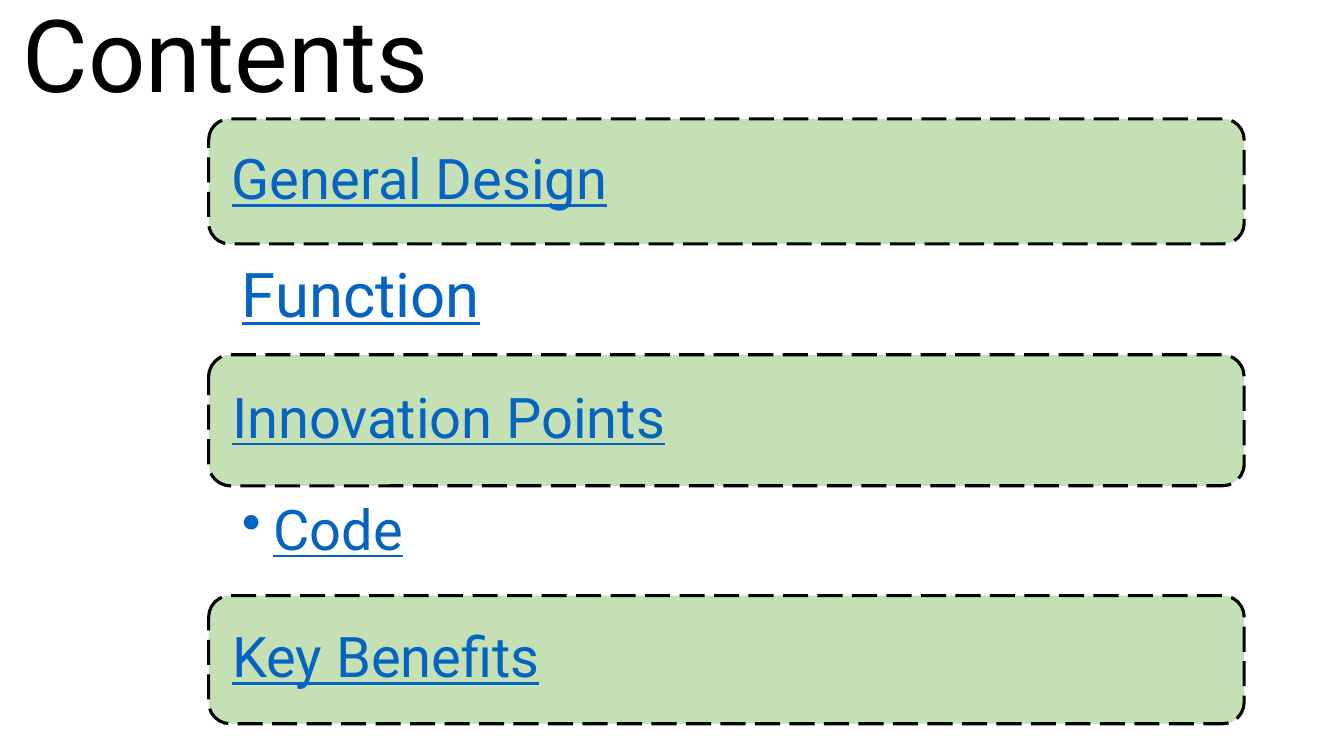
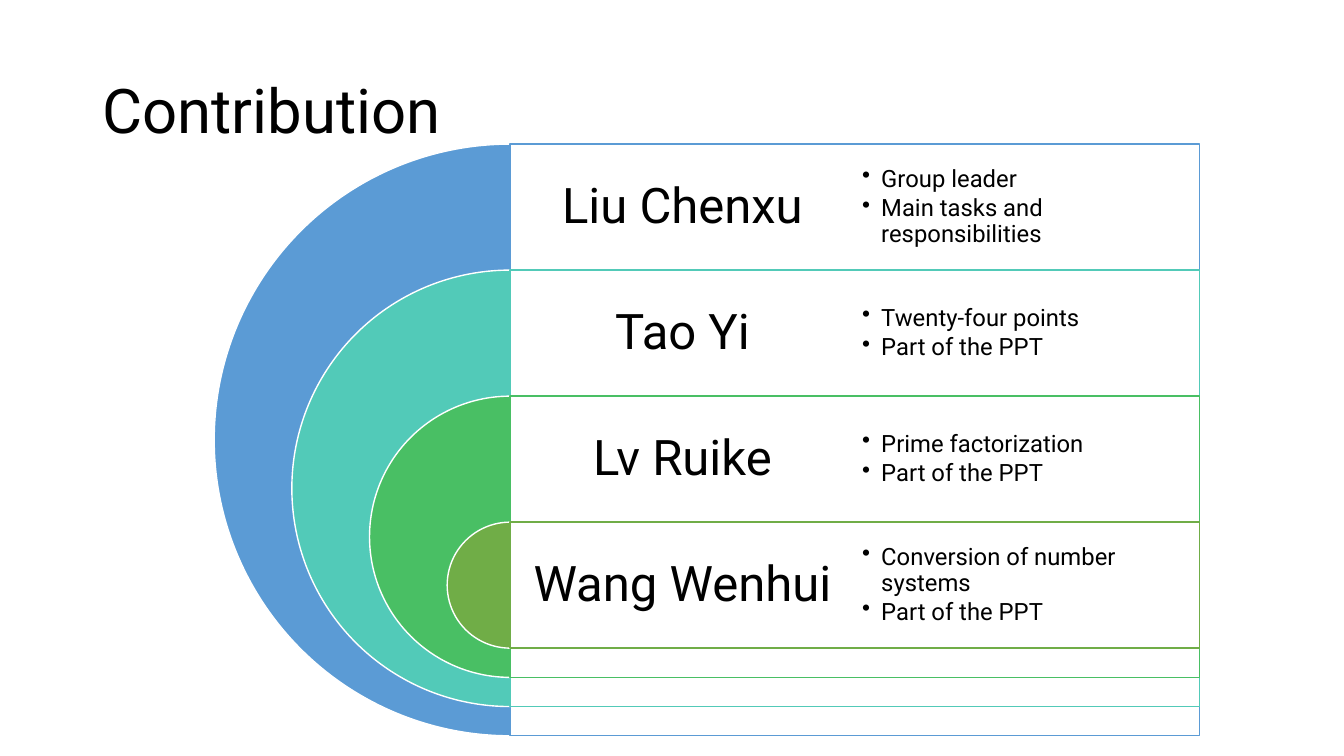
from lxml import etree
from pptx import Presentation
from pptx.dml.color import RGBColor
from pptx.enum.dml import MSO_LINE
from pptx.enum.shapes import MSO_SHAPE
from pptx.enum.text import MSO_ANCHOR, PP_ALIGN
from pptx.oxml.ns import qn
from pptx.util import Inches, Pt

ROUNDED = MSO_SHAPE.ROUNDED_RECTANGLE
RECTANGLE = MSO_SHAPE.RECTANGLE
PIE = MSO_SHAPE.PIE
LONG_DASH = MSO_LINE.LONG_DASH
TOP, MIDDLE = MSO_ANCHOR.TOP, MSO_ANCHOR.MIDDLE
LEFT, CENTER = PP_ALIGN.LEFT, PP_ALIGN.CENTER

FONT = "Roboto"
BLACK, WHITE = "000000", "FFFFFF"
LINK_BLUE = "0563C1"
PANEL_GREEN = "C5E0B4"

CONTENT_LEFT, CONTENT_WIDTH = 2.07, 10.27
PANELS = [
    ("General Design", 1.18, 1.24),
    ("Innovation Points", 3.52, 1.3),
    ("Key Benefits", 5.91, 1.27),
]

RING_AXIS, RING_TOP = 5.06, 1.43
RING_DIAMETER, DIAMETER_STEP = 5.87, 1.54
ROW_HEIGHT, COLUMN_WIDTH = 1.25, 3.42
MEMBERS = [
    ("Liu Chenxu", "5B9BD5", ["Group leader", "Main tasks and responsibilities"]),
    ("Tao Yi", "52CAB8", ["Twenty-four points", "Part of the PPT"]),
    ("Lv Ruike", "49BF64", ["Prime factorization", "Part of the PPT"]),
    ("Wang Wenhui", "70AD47", ["Conversion of number systems", "Part of the PPT"]),
]


def color(value):
    return RGBColor.from_string(value)


def add_bullet(para, indent):
    properties = para._p.get_or_add_pPr()
    properties.set("marL", str(Inches(indent)))
    properties.set("indent", str(-Inches(indent)))
    etree.SubElement(properties, qn("a:buChar"), char="•")


def write_text(shape, lines, *, size, ink=BLACK, underline=False, align=LEFT,
               anchor=MIDDLE, insets=(0.1, 0.05), line_spacing=0.9,
               space_after=0, bullet_indent=None):
    frame = shape.text_frame
    frame.word_wrap = True
    frame.vertical_anchor = anchor
    frame.margin_left = frame.margin_right = Inches(insets[0])
    frame.margin_top = frame.margin_bottom = Inches(insets[1])
    for index, line in enumerate(lines):
        para = frame.add_paragraph() if index else frame.paragraphs[0]
        para.alignment = align
        para.line_spacing = line_spacing
        para.space_after = Pt(space_after)
        if bullet_indent:
            add_bullet(para, bullet_indent)
        span = para.add_run()
        span.text = line
        span.font.name = FONT
        span.font.size = Pt(size)
        span.font.underline = underline
        span.font.color.rgb = color(ink)


def add_text(page, left, top, width, height, lines, **style):
    box = page.shapes.add_textbox(*map(Inches, (left, top, width, height)))
    write_text(box, lines, **style)


def add_block(page, kind, left, top, width, height, fill, outline, weight=1):
    block = page.shapes.add_shape(kind, *map(Inches, (left, top, width, height)))
    block.shadow.inherit = False
    block.fill.solid()
    block.fill.fore_color.rgb = color(fill)
    block.line.color.rgb = color(outline)
    block.line.width = Pt(weight)
    return block


def set_opacity(block, percent):
    fill_color = block._element.spPr.find(qn("a:solidFill")).find(qn("a:srgbClr"))
    etree.SubElement(fill_color, qn("a:alpha"), val=str(percent * 1000))


def add_page(deck, title, left, top, height, size):
    page = deck.slides.add_slide(deck.slide_layouts[6])
    add_text(page, left, top, 11.5, height, [title], size=size)
    return page


def add_panel(page, label, top, height):
    panel = add_block(page, ROUNDED, CONTENT_LEFT, top, CONTENT_WIDTH, height,
                      PANEL_GREEN, BLACK, weight=2.25)
    panel.line.dash_style = LONG_DASH
    write_text(panel, [label], size=40, ink=LINK_BLUE, underline=True,
               insets=(0.17, 0.17))


def add_plain_entry(page, label, top, height, **style):
    add_text(page, CONTENT_LEFT, top, CONTENT_WIDTH, height, [label],
             ink=LINK_BLUE, underline=True, anchor=TOP, insets=(0.33, 0.06), **style)


def add_member(page, index, name, accent, tasks):
    top = RING_TOP + index * ROW_HEIGHT
    diameter = RING_DIAMETER - index * DIAMETER_STEP
    ring = add_block(page, PIE, RING_AXIS - diameter / 2, top, diameter, diameter,
                     accent, WHITE)
    ring.adjustments[0], ring.adjustments[1] = 54, 162
    row = add_block(page, RECTANGLE, RING_AXIS, top, 2 * COLUMN_WIDTH, diameter,
                    WHITE, accent)
    set_opacity(row, 90)
    add_text(page, RING_AXIS, top, COLUMN_WIDTH, ROW_HEIGHT, [name],
             size=35, align=CENTER, insets=(0.15, 0.15))
    add_text(page, RING_AXIS + COLUMN_WIDTH, top, COLUMN_WIDTH, ROW_HEIGHT, tasks,
             size=17, insets=(0.07, 0.07), space_after=2.5, bullet_indent=0.19)


def build_contents(deck):
    page = add_page(deck, "Contents", 0.13, 0, 1.18, 72)
    for label, top, height in PANELS:
        add_panel(page, label, top, height)
    add_plain_entry(page, "Function", 2.48, 1.15, size=44, line_spacing=1)
    add_plain_entry(page, "Code", 4.92, 1.01, size=40, bullet_indent=0.31)


def build_contribution(deck):
    page = add_page(deck, "Contribution", 0.92, 0.4, 1.45, 44)
    for index, (name, accent, tasks) in enumerate(MEMBERS):
        add_member(page, index, name, accent, tasks)


def main():
    deck = Presentation()
    deck.slide_width = Inches(13.33)
    deck.slide_height = Inches(7.5)
    build_contents(deck)
    build_contribution(deck)
    deck.save("out.pptx")


if __name__ == "__main__":
    main()
